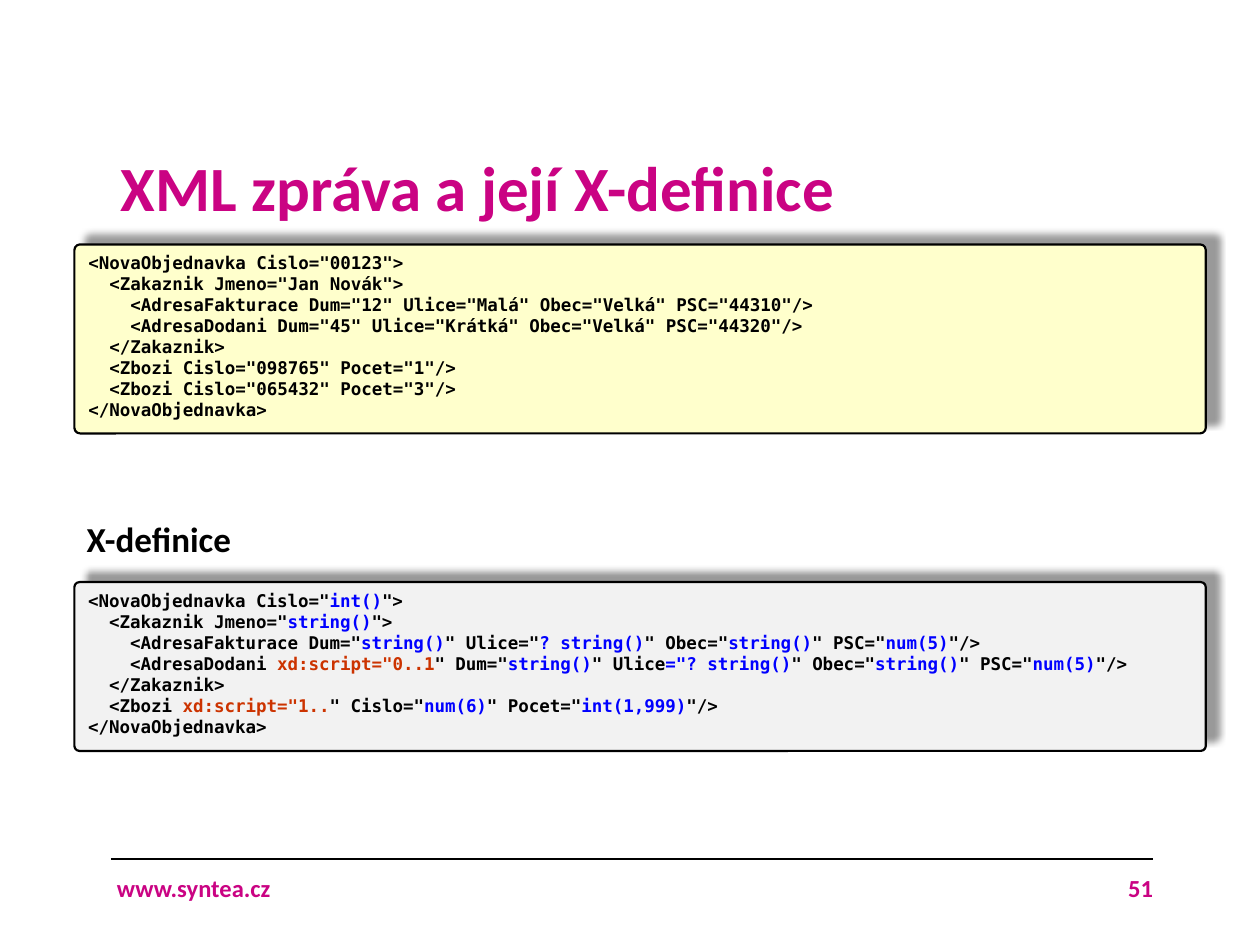
from lxml.etree import SubElement
from pptx import Presentation
from pptx.dml.color import RGBColor
from pptx.enum.shapes import MSO_CONNECTOR, MSO_SHAPE
from pptx.enum.text import MSO_ANCHOR, MSO_AUTO_SIZE, PP_ALIGN
from pptx.oxml.ns import qn
from pptx.util import Inches, Pt

COLORS = {
    "brand": "CA0383", "black": "000000", "type": "0000FF",
    "script": "CC3300", "message": "FFFFCC", "definition": "F2F2F2",
}


def rgb(name):
    return RGBColor.from_string(COLORS[name])


def write(tf, lines, size=10, font="DejaVu Sans Mono", color="black",
          align=PP_ALIGN.LEFT, anchor=MSO_ANCHOR.TOP, wrap=True):
    """Each line is a list of plain strings and (string, color) pairs."""
    tf.word_wrap = wrap
    tf.vertical_anchor = anchor
    for i, line in enumerate(lines):
        p = tf.paragraphs[0] if i == 0 else tf.add_paragraph()
        p.alignment = align
        for part in line:
            text, part_color = (part, color) if isinstance(part, str) else part
            r = p.add_run()
            r.text = text
            r.font.name = font
            r.font.size = Pt(size)
            r.font.bold = True
            r.font.color.rgb = rgb(part_color)


prs = Presentation()
prs.slide_width, prs.slide_height = Inches(10), Inches(7.5)
s = prs.slides.add_slide(prs.slide_layouts[5])

# Title
title = s.shapes.title
title.left, title.top = Inches(0.92), Inches(1.06)
title.width, title.height = Inches(8.59), Inches(0.7)
tf = title.text_frame
tf.auto_size = MSO_AUTO_SIZE.NONE
tf.margin_left = tf.margin_right = tf.margin_bottom = Inches(0.04)
tf.margin_top = 0
write(tf, [["XML zpráva a její X-definice"]], size=36, font="Calibri", color="brand")
tf.paragraphs[0].line_spacing = 1.2

# Footer: address, page number and rule
for text, left, width, align in [
    ("www.syntea.cz", 0.83, 7.48, PP_ALIGN.LEFT),
    ("51", 8.31, 0.94, PP_ALIGN.RIGHT),
]:
    sp = s.shapes.add_textbox(Inches(left), Inches(6.59), Inches(width), Inches(0.91))
    write(sp.text_frame, [[text]], size=14, font="Calibri", color="brand",
          align=align, anchor=MSO_ANCHOR.MIDDLE)

rule = s.shapes.add_connector(MSO_CONNECTOR.STRAIGHT, Inches(0.88), Inches(6.82),
                              Inches(9.15), Inches(6.82))
rule.line.color.rgb = rgb("black")
rule.line.width = Pt(1.25)
SubElement(rule._element.spPr, qn("a:effectLst"))

# Code listings
STRING, NUM5 = ("string()", "type"), ("num(5)", "type")

message = [[line] for line in (
    '<NovaObjednavka Cislo="00123">',
    '  <Zakaznik Jmeno="Jan Novák">',
    '    <AdresaFakturace Dum="12" Ulice="Malá" Obec="Velká" PSC="44310"/>',
    '    <AdresaDodani Dum="45" Ulice="Krátká" Obec="Velká" PSC="44320"/>',
    '  </Zakaznik>',
    '  <Zbozi Cislo="098765" Pocet="1"/>',
    '  <Zbozi Cislo="065432" Pocet="3"/>',
    '</NovaObjednavka>',
)]
address_end = ['" Obec="', STRING, '" PSC="', NUM5, '"/>']
definition = [
    ['<NovaObjednavka Cislo="', ("int()", "type"), '">'],
    ['  <Zakaznik Jmeno="', STRING, '">'],
    ['    <AdresaFakturace Dum="', STRING, '" Ulice="', ("? string()", "type"),
     *address_end],
    ['    <AdresaDodani ', ('xd:script="0..1', "script"), '" Dum="', STRING,
     '" Ulice', ('="? string()', "type"), *address_end],
    ['  </Zakaznik>'],
    ['  <Zbozi ', ('xd:script="1..', "script"), '" Cislo="', ("num(6)", "type"),
     '" Pocet="', ("int(1,999)", "type"), '"/>'],
    ['</NovaObjednavka>'],
]

for lines, top, height, fill in [
    (message, 1.94, 1.5, "message"),
    (definition, 4.62, 1.34, "definition"),
]:
    sp = s.shapes.add_shape(MSO_SHAPE.ROUNDED_RECTANGLE, Inches(0.59), Inches(top),
                            Inches(8.98), Inches(height))
    sp.adjustments[0] = 0.03
    sp.fill.solid()
    sp.fill.fore_color.rgb = rgb(fill)
    sp.line.color.rgb = rgb("black")
    sp.line.width = Pt(1.25)
    write(sp.text_frame, lines)

    # Soft shadow to the upper right
    sp.shadow.inherit = False
    effects = sp._element.spPr.find(qn("a:effectLst"))
    shadow = SubElement(effects, qn("a:outerShdw"), blurRad=str(Pt(4)), dist=str(Pt(9)),
                        dir=str(315 * 60000), algn="bl", rotWithShape="0")
    shade = SubElement(shadow, qn("a:srgbClr"), val=COLORS["black"])
    SubElement(shade, qn("a:alpha"), val="40000")

# Heading of the second listing
sp = s.shapes.add_textbox(Inches(0.59), Inches(4.06), Inches(1.37), Inches(0.44))
sp.text_frame.auto_size = MSO_AUTO_SIZE.SHAPE_TO_FIT_TEXT
write(sp.text_frame, [["X-definice"]], size=20, font="Calibri", wrap=False)

prs.save("out.pptx")
